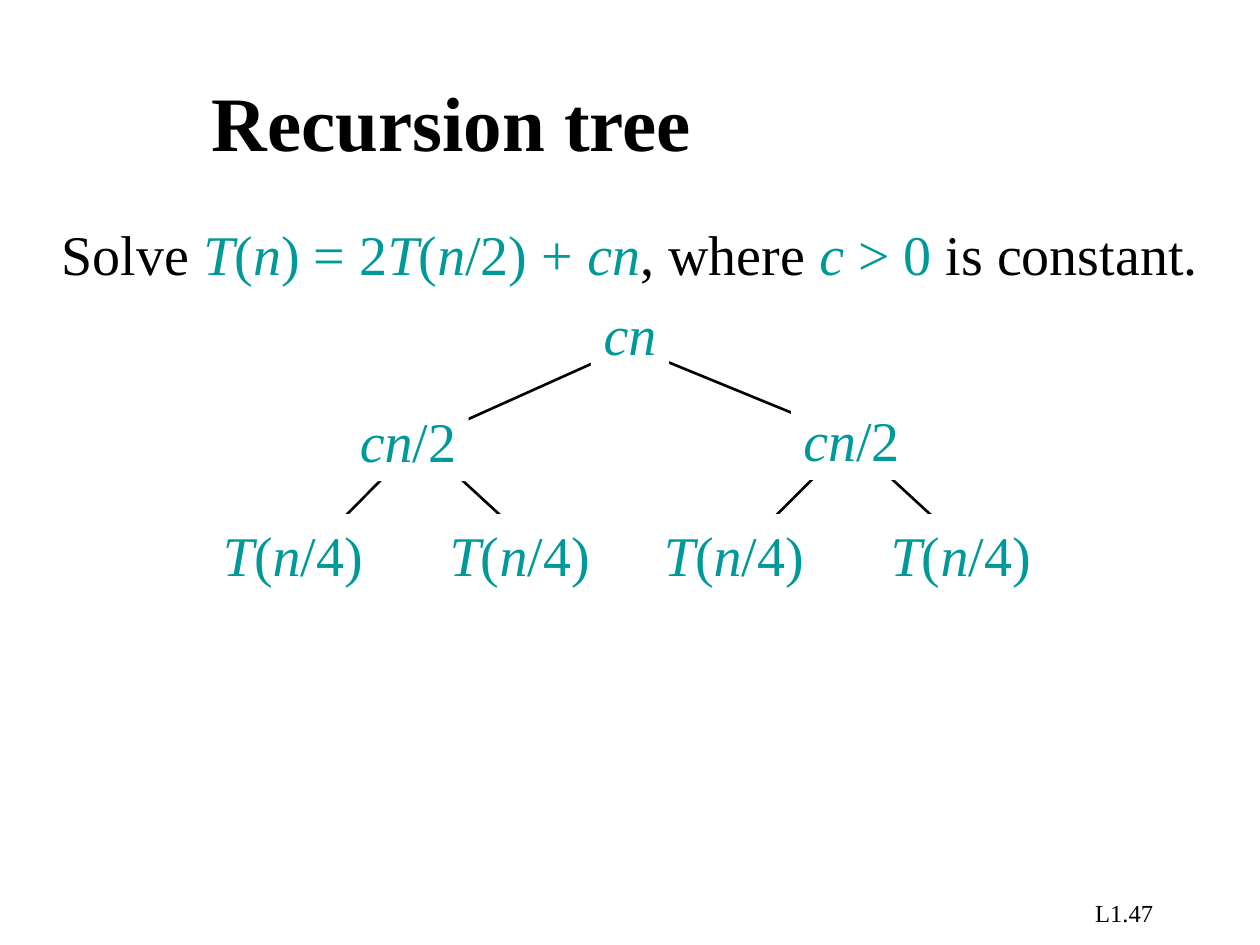
from lxml import etree
from pptx import Presentation
from pptx.dml.color import RGBColor
from pptx.enum.shapes import MSO_CONNECTOR, MSO_SHAPE
from pptx.enum.text import MSO_ANCHOR, MSO_AUTO_SIZE, PP_ALIGN
from pptx.oxml.ns import qn
from pptx.util import Inches, Pt

STRAIGHT = MSO_CONNECTOR.STRAIGHT
RECTANGLE = MSO_SHAPE.RECTANGLE
TOP, MIDDLE = MSO_ANCHOR.TOP, MSO_ANCHOR.MIDDLE
LEFT, CENTER, RIGHT = PP_ALIGN.LEFT, PP_ALIGN.CENTER, PP_ALIGN.RIGHT
GROW = MSO_AUTO_SIZE.SHAPE_TO_FIT_TEXT
BLACK, TEAL, WHITE = "000000", "009999", "FFFFFF"


def rgb(value):
    return RGBColor.from_string(value)


def write(shape, pieces, size, align=LEFT, anchor=TOP, wrap=False, bold=False):
    frame = shape.text_frame
    frame.word_wrap = wrap
    frame.vertical_anchor = anchor
    if not wrap:
        frame.auto_size = GROW
    paragraph = frame.paragraphs[0]
    paragraph.alignment = align
    for text, color, italic in pieces:
        run = paragraph.add_run()
        run.text = text
        run.font.name = "Times New Roman"
        run.font.size = Pt(size)
        run.font.bold = bold
        run.font.italic = italic
        run.font.color.rgb = rgb(color)


prs = Presentation()
prs.slide_width, prs.slide_height = Inches(10), Inches(7.5)
shapes = prs.slides.add_slide(prs.slide_layouts[6]).shapes

page_number = shapes.add_textbox(Inches(7.17), Inches(7.08), Inches(2.08), Inches(0.25))
write(page_number, [("L1.47", BLACK, False)], 14, align=RIGHT, wrap=True)

title = shapes.add_textbox(Inches(1.58), Inches(0.33), Inches(8.25), Inches(1.25))
write(title, [("Recursion tree", BLACK, False)], 44, anchor=MIDDLE, wrap=True, bold=True)

recurrence = shapes.add_textbox(Inches(0.39), Inches(1.69), Inches(9.22), Inches(0.64))
write(recurrence, [
    ("Solve ", BLACK, False),
    ("T", TEAL, True), ("(", TEAL, False), ("n", TEAL, True), (") = 2", TEAL, False),
    ("T", TEAL, True), ("(", TEAL, False), ("n", TEAL, True), ("/2) + ", TEAL, False),
    ("cn", TEAL, True), (", where ", BLACK, False),
    ("c ", TEAL, True), ("> 0", TEAL, False), (" is constant.", BLACK, False),
], 32)

root = (5, 2.75)
edges = [
    (root, (3.33, 3.5)), (root, (6.83, 3.5)),
    ((3.33, 3.5), (2.42, 4.42)), ((3.33, 3.5), (4.33, 4.42)),
    ((6.75, 3.5), (5.83, 4.42)), ((6.75, 3.5), (7.75, 4.42)),
]
for (x1, y1), (x2, y2) in edges:
    edge = shapes.add_connector(STRAIGHT, Inches(x1), Inches(y1), Inches(x2), Inches(y2))
    edge.line.color.rgb = rgb(BLACK)
    edge.line.width = Pt(1.5)
    etree.SubElement(edge._element.spPr, qn("a:effectLst"))

root_cost = [("cn", TEAL, True)]
half_cost = [("cn", TEAL, True), ("/2", TEAL, False)]
quarter_call = [("T", TEAL, True), ("(", TEAL, False), ("n", TEAL, True), ("/4)", TEAL, False)]
nodes = [(4.69, 2.33, 0.62, root_cost)]
nodes += [(left, 4.08, 1.31, quarter_call) for left in (1.67, 3.47, 5.17, 6.97)]
nodes += [(2.76, 3.18, 0.96, half_cost), (6.28, 3.17, 0.96, half_cost)]
for left, top, width, label in nodes:
    node = shapes.add_shape(RECTANGLE, Inches(left), Inches(top), Inches(width), Inches(0.64))
    node.shadow.inherit = False
    node.fill.solid()
    node.fill.fore_color.rgb = rgb(WHITE)
    node.line.fill.background()
    node.text_frame.margin_left = node.text_frame.margin_right = Inches(0.05)
    write(node, label, 32, align=CENTER)

prs.save("out.pptx")
